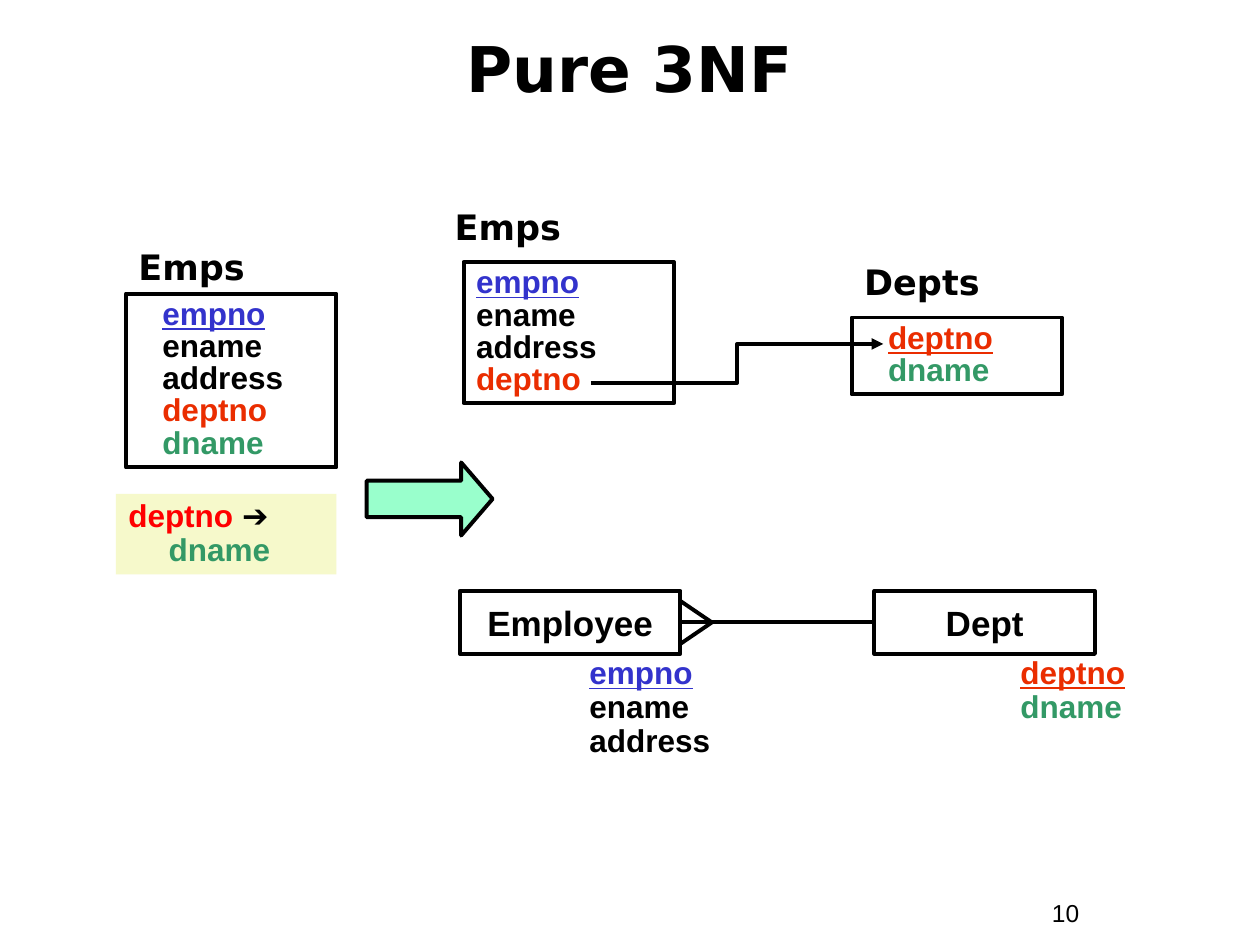
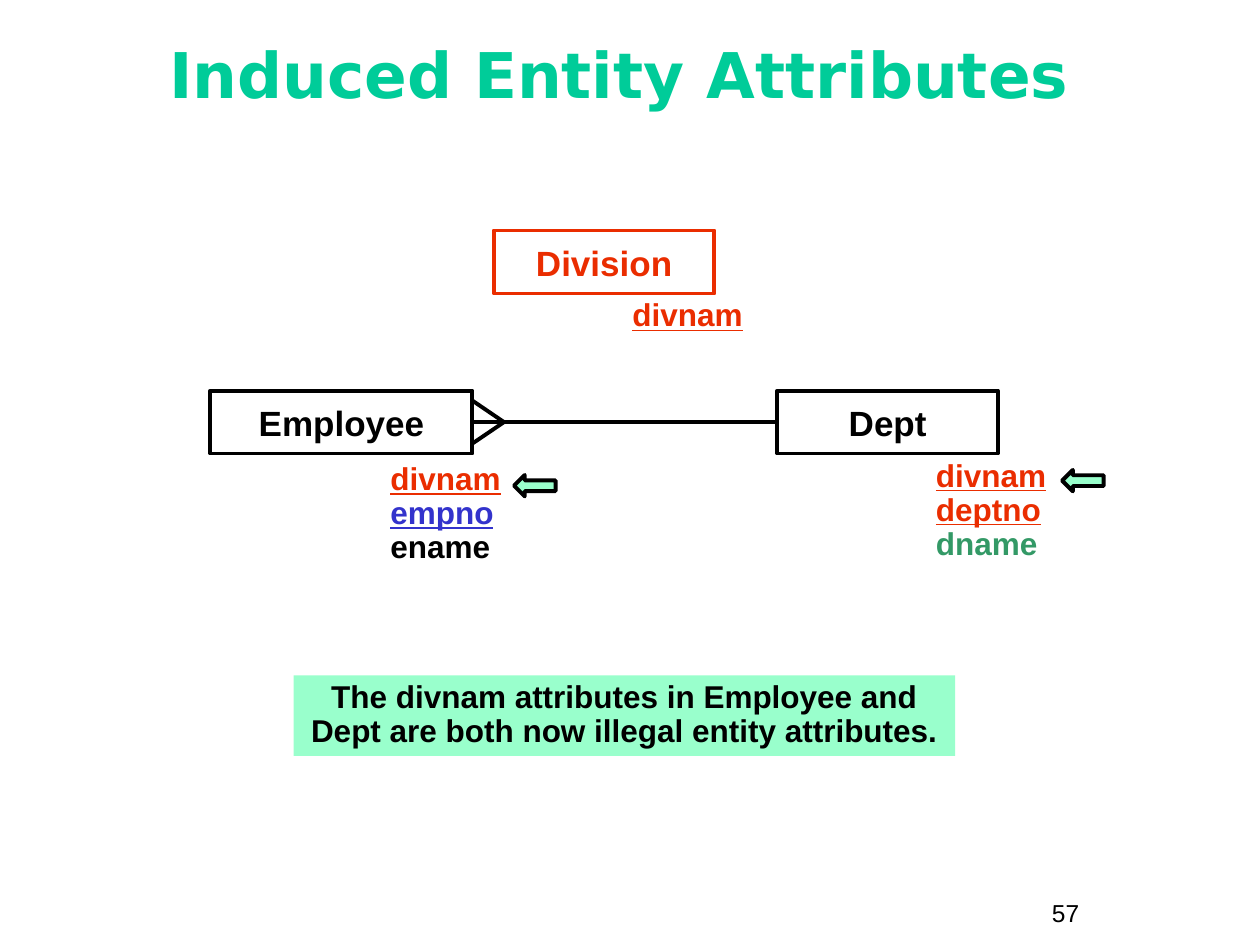
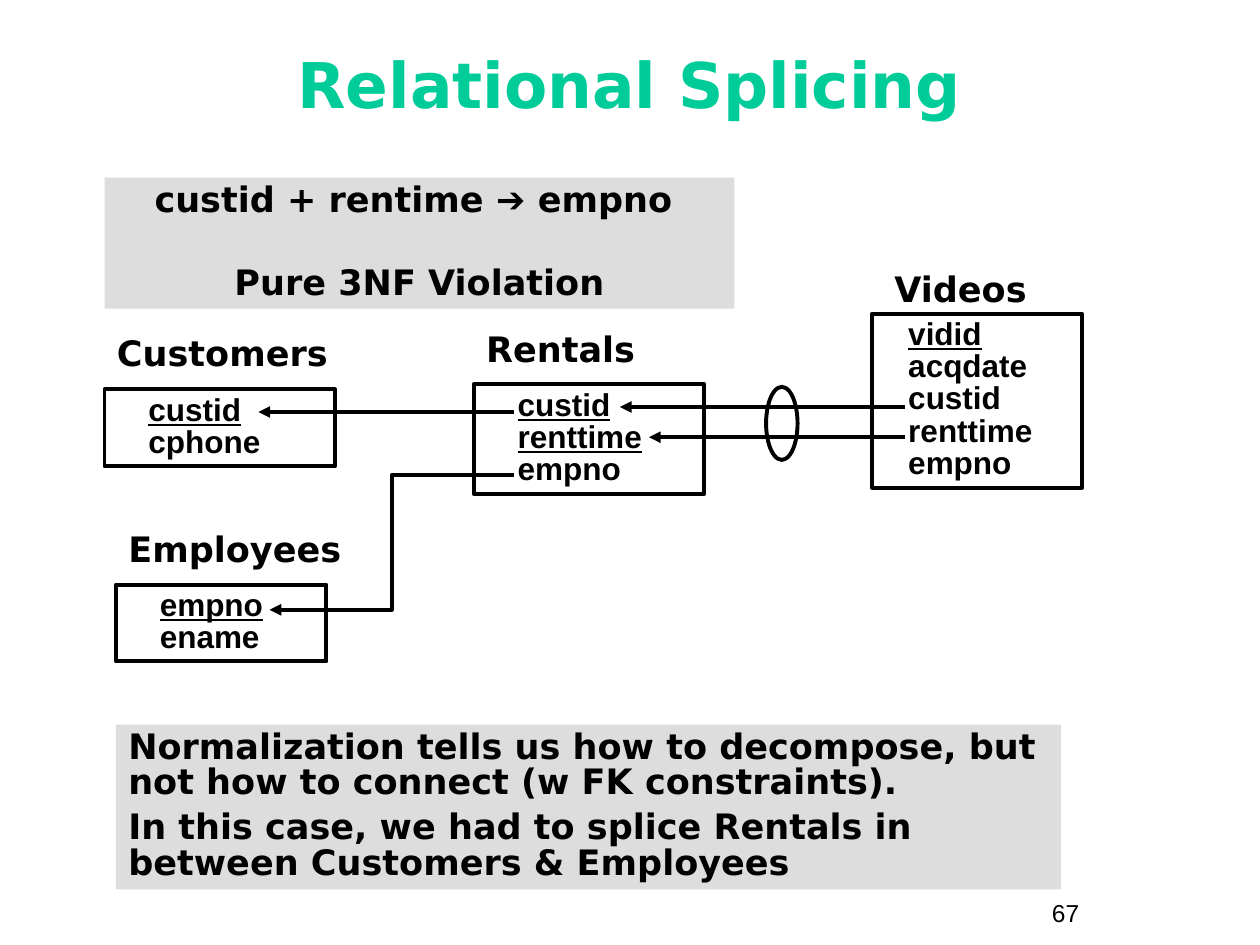
import collections

import pptx
import pptx.dml.color
import pptx.enum.shapes
import pptx.enum.text
import pptx.oxml.ns
import pptx.util
from lxml import etree

SCALE = 9144  # EMU per px, 100 px to the inch

BLACK = "000000"
BLUE = "3333CC"
RED = "EA2D00"
BRIGHT_RED = "FF0000"
GREEN = "339966"
TEAL = "00CC99"
MINT = "99FFCC"
CREAM = "F6F9CB"
GREY = "DDDDDD"

BODY_FONT = "Arial"
HEAD_FONT = "DejaVu Sans"
LINE_WIDTH = 2.25

SHAPE = pptx.enum.shapes.MSO_SHAPE
CONNECTOR = pptx.enum.shapes.MSO_CONNECTOR
ALIGN = pptx.enum.text.PP_ALIGN
ANCHOR = pptx.enum.text.MSO_ANCHOR
TOP, LEFT, BOTTOM, RIGHT = range(4)

Span = collections.namedtuple("Span", "text color underline font", defaults=(None, False, None))


def px(length):
    return pptx.util.Emu(round(length * SCALE))


def rgb(color):
    return pptx.dml.color.RGBColor.from_string(color)


def key(text, color=BLACK):
    """A field of the primary key, shown underlined."""
    return Span(text, color, True)


def write(frame, lines, size=18, font=BODY_FONT, color=BLACK, bold=True, align=ALIGN.LEFT,
          spacing=1.0, before=0, indent=0, hanging=0, wrap=True, anchor=ANCHOR.TOP):
    """Fill a frame with lines; each line is a string, a Span or a list of these."""
    frame.word_wrap = wrap
    frame.vertical_anchor = anchor
    for index, line in enumerate(lines):
        para = frame.paragraphs[0] if index == 0 else frame.add_paragraph()
        para.alignment = align
        para.line_spacing = spacing
        para.space_before = pptx.util.Pt(before if index else 0)
        properties = para._p.get_or_add_pPr()
        properties.set("marL", str(px(indent)))
        properties.set("indent", str(px(-hanging if index == 0 else 0)))
        for part in line if isinstance(line, list) else [line]:
            span = part if isinstance(part, Span) else Span(part)
            run = para.add_run()
            run.text = span.text
            run.font.size = pptx.util.Pt(size)
            run.font.name = span.font or font
            run.font.bold = bold
            run.font.underline = span.underline
            run.font.color.rgb = rgb(span.color or color)


class Canvas:
    """The shared style of the deck and the slide being drawn."""

    def __init__(self):
        self.deck = pptx.Presentation()
        self.deck.slide_width, self.deck.slide_height = px(1000), px(750)
        self.page = None

    def start(self, title, number, left, top, width, height, color=TEAL):
        self.page = self.deck.slides.add_slide(self.deck.slide_layouts[6])
        self.text([str(number)], 825, 708, 92, 34, size=14, bold=False)
        self.text([title], left, top, width, height, size=36, font=HEAD_FONT, color=color,
                  align=ALIGN.CENTER, spacing=0.85, anchor=ANCHOR.MIDDLE)

    def text(self, lines, left, top, width, height, **style):
        box = self.page.shapes.add_textbox(px(left), px(top), px(width), px(height))
        write(box.text_frame, lines, **style)

    def heading(self, text, left, top, width=215):
        self.text([text], left, top, width, 44, size=20, font=HEAD_FONT)

    def attributes(self, fields, left, top, width, height):
        self.text(fields, left, top, width, height, spacing=0.9)

    def shape(self, kind, left, top, width, height, fill=None, line=BLACK):
        shape = self.page.shapes.add_shape(kind, px(left), px(top), px(width), px(height))
        shape.shadow.inherit = False
        if fill:
            shape.fill.solid()
            shape.fill.fore_color.rgb = rgb(fill)
        else:
            shape.fill.background()
        if line:
            shape.line.color.rgb = rgb(line)
            shape.line.width = pptx.util.Pt(LINE_WIDTH)
        else:
            shape.line.fill.background()
        return shape

    def arrow(self, kind, left, top, width, height, head=0.5):
        shape = self.shape(kind, left, top, width, height, fill=MINT)
        shape.adjustments[0], shape.adjustments[1] = 0.5, head

    def table_box(self, fields, left, top, width, height, indent=19):
        """A relation drawn as a box that lists its fields."""
        box = self.shape(SHAPE.RECTANGLE, left, top, width, height)
        write(box.text_frame, fields, spacing=0.85, indent=indent)

    def entity(self, name, left, top, width=175, color=BLACK):
        box = self.shape(SHAPE.RECTANGLE, left, top, width, 50, line=color)
        write(box.text_frame, [name], size=20, color=color, align=ALIGN.CENTER,
              wrap=False, anchor=ANCHOR.MIDDLE)
        return box

    def note(self, lines, left, top, width, height, fill, **style):
        box = self.shape(SHAPE.RECTANGLE, left, top, width, height, fill=fill, line=None)
        write(box.text_frame, lines, **style)

    def line(self, start, end, kind=CONNECTOR.STRAIGHT, arrow=False):
        line = self.page.shapes.add_connector(kind, *map(px, start + end))
        line.line.color.rgb = rgb(BLACK)
        line.line.width = pptx.util.Pt(LINE_WIDTH)
        if arrow:
            tail = etree.SubElement(line.line._get_or_add_ln(), pptx.oxml.ns.qn("a:tailEnd"))
            tail.set("type", "triangle")
        etree.SubElement(line._element.spPr, pptx.oxml.ns.qn("a:effectLst"))
        return line

    def foreign_key(self, start, end):
        kind = CONNECTOR.STRAIGHT if start[1] == end[1] else CONNECTOR.ELBOW
        self.line(start, end, kind, arrow=True)

    def many_to_one(self, many, one):
        """Join two entities, with a crow's foot at the first."""
        side = (many.left + many.width) / SCALE
        middle = (many.top + many.height / 2) / SCALE
        line = self.line((side, middle), (one.left / SCALE, middle))
        line.begin_connect(many, RIGHT)
        line.end_connect(one, LEFT)
        for spread in (-17, 17):
            self.line((side + 25, middle), (side, middle + spread))


def pure_3nf(canvas):
    canvas.start("Pure 3NF", 10, 33, 17, 933, 83, color=BLACK)
    empno, deptno = key("empno", BLUE), key("deptno", RED)
    foreign_deptno, dname = Span("deptno", RED), Span("dname", GREEN)

    employee = canvas.entity("Employee", 365, 469)
    dept = canvas.entity("Dept", 694, 469)
    canvas.many_to_one(employee, dept)
    canvas.attributes([empno, "ename", "address"], 458, 517, 117, 91)
    canvas.attributes([deptno, dname], 800, 517, 117, 64)

    canvas.heading("Emps", 351, 158)
    canvas.table_box([empno, "ename", "address", foreign_deptno], 368, 208, 167, 112, indent=0)
    canvas.heading("Depts", 676, 202)
    canvas.table_box([deptno, dname], 676, 252, 167, 61)
    canvas.foreign_key((469, 304), (701, 273))

    canvas.heading("Emps", 100, 190, 133)
    canvas.table_box([empno, "ename", "address", foreign_deptno, dname], 100, 233, 167, 138)
    canvas.arrow(SHAPE.RIGHT_ARROW, 291, 367, 100, 58, head=0.43)
    canvas.note([[Span("deptno ", BRIGHT_RED), "➔"], dname], 92, 392, 175, 64, CREAM,
                spacing=0.9, indent=32, hanging=32)


def induced_attributes(canvas):
    canvas.start("Induced Entity Attributes ", 57, 25, 17, 950, 92)
    divnam = key("divnam", RED)

    dept = canvas.entity("Dept", 617, 310)
    employee = canvas.entity("Employee", 167, 310, 208)
    canvas.many_to_one(employee, dept)
    canvas.attributes([divnam, key("deptno", RED), Span("dname", GREEN)], 733, 360, 142, 91)
    canvas.attributes([divnam, key("empno", BLUE), "ename"], 300, 363, 167, 91)
    canvas.entity("Division", 392, 183, color=RED)
    canvas.attributes([divnam], 492, 233, 142, 37)

    canvas.note(["The divnam attributes in Employee and Dept are both now illegal entity attributes."],
                233, 536, 525, 64, MINT, align=ALIGN.CENTER, spacing=0.9)
    for left, top in ((843, 373), (408, 377)):
        canvas.arrow(SHAPE.LEFT_ARROW, left, top, 33, 17)


def relational_splicing(canvas):
    canvas.start("Relational Splicing", 67, 33, 33, 933, 75)

    canvas.table_box([key("vidid"), "acqdate", "custid", "renttime", "empno"], 692, 249, 167, 138)
    canvas.heading("Videos", 700, 207, 140)
    canvas.heading("Employees", 92, 414)
    canvas.table_box([key("empno"), "ename"], 92, 464, 167, 61, indent=25)
    canvas.heading("Customers", 83, 258)
    canvas.table_box([key("custid"), "cphone"], 83, 309, 183, 61, indent=25)
    canvas.heading("Rentals", 376, 255)
    canvas.table_box([key("custid"), key("renttime"), "empno"], 376, 305, 183, 87, indent=25)

    canvas.foreign_key((408, 327), (205, 327))
    canvas.foreign_key((408, 377), (214, 484))
    canvas.foreign_key((718, 323), (492, 323))
    canvas.foreign_key((718, 347), (515, 347))
    canvas.shape(SHAPE.OVAL, 608, 307, 25, 58)

    note_style = dict(size=20, font=HEAD_FONT, spacing=0.85)
    canvas.note([["custid + rentime ", Span("➔", font=BODY_FONT), " empno "], "Pure 3NF Violation"],
                83, 141, 500, 104, GREY, align=ALIGN.CENTER, before=27, **note_style)
    canvas.note(["Normalization tells us how to decompose, but not how to connect (w FK constraints).",
                 "In this case, we had to splice Rentals in between Customers & Employees"],
                92, 575, 750, 131, GREY, before=5, **note_style)


def main():
    canvas = Canvas()
    pure_3nf(canvas)
    induced_attributes(canvas)
    relational_splicing(canvas)
    canvas.deck.save("out.pptx")


if __name__ == "__main__":
    main()
